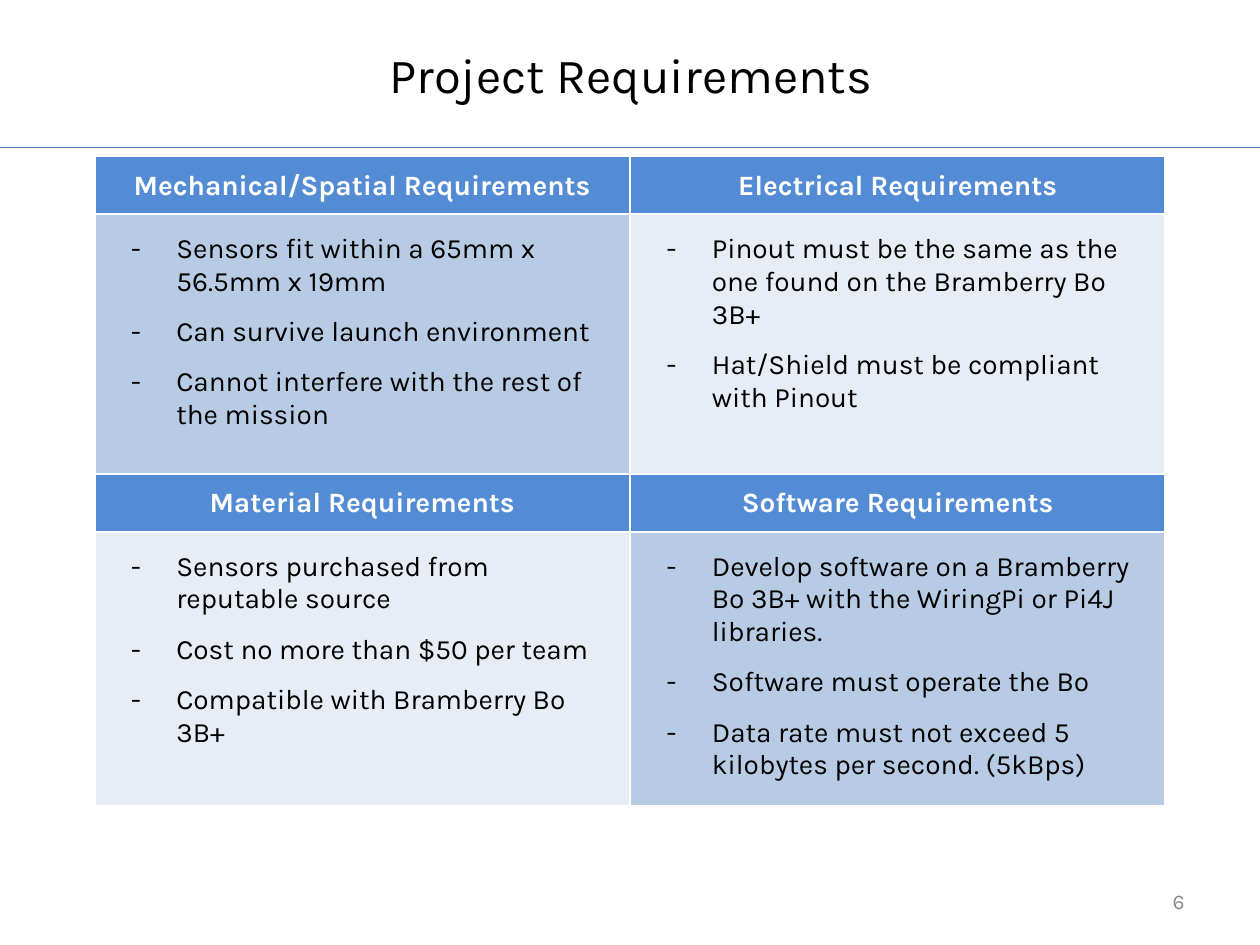
from lxml.etree import SubElement
from pptx import Presentation
from pptx.dml.color import RGBColor
from pptx.enum.shapes import MSO_CONNECTOR
from pptx.enum.text import MSO_ANCHOR, PP_ALIGN
from pptx.oxml import parse_xml
from pptx.oxml.ns import nsdecls, qn
from pptx.util import Inches, Pt


def rgb(color):
    return RGBColor.from_string(color)


def write(frame, text, size=16, color="000000", bold=False, align=PP_ALIGN.LEFT, bullet=None):
    """Fill a text frame with one paragraph per line of text."""
    frame.word_wrap = True
    for number, line in enumerate(text.split("\n")):
        paragraph = frame.paragraphs[0] if number == 0 else frame.add_paragraph()
        if bullet:
            properties = paragraph._p.get_or_add_pPr()
            properties.set("marL", str(Inches(0.5)))
            properties.set("indent", str(Inches(-0.36)))
            bullet_color = SubElement(properties, qn("a:buClr"))
            SubElement(bullet_color, qn("a:srgbClr"), val=color)
            SubElement(properties, qn("a:buFont"), typeface="Karla")
            SubElement(properties, qn("a:buChar"), char=bullet)
        paragraph.alignment = align
        if number:
            paragraph.space_before = Pt(10)
        run = paragraph.add_run()
        run.text = line
        run.font.name = "Karla"
        run.font.size = Pt(size)
        run.font.bold = bold
        run.font.color.rgb = rgb(color)


HEADER, MID_BLUE, PALE = "538CD5", "B7CCE4", "E8ECF4"
SECTIONS = [
    [
        ("Mechanical/Spatial Requirements", MID_BLUE,
         "Sensors fit within a 65mm x 56.5mm x 19mm\n"
         "Can survive launch environment\n"
         "Cannot interfere with the rest of the mission"),
        ("Electrical Requirements", PALE,
         "Pinout must be the same as the one found on the Bramberry Bo 3B+\n"
         "Hat/Shield must be compliant with Pinout"),
    ],
    [
        ("Material Requirements", PALE,
         "Sensors purchased from reputable source\n"
         "Cost no more than $50 per team\n"
         "Compatible with Bramberry Bo 3B+"),
        ("Software Requirements", MID_BLUE,
         "Develop software on a Bramberry Bo 3B+ with the WiringPi or Pi4J libraries.\n"
         "Software must operate the Bo\n"
         "Data rate must not exceed 5 kilobytes per second. (5kBps)"),
    ],
]
COLUMN_WIDTH = 4.25
ROW_HEIGHTS = [0.46, 2.06, 0.46, 2.1]

deck = Presentation()
deck.slide_width, deck.slide_height = Inches(10), Inches(7.5)
slide = deck.slides.add_slide(deck.slide_layouts[6])

rule = slide.shapes.add_connector(
    MSO_CONNECTOR.STRAIGHT, 0, Inches(1.17), deck.slide_width, Inches(1.17))
rule.line.color.rgb = rgb("4A7DBA")
rule.line.width = Pt(0.75)
SubElement(rule._element.spPr, qn("a:effectLst"))

title = slide.shapes.add_textbox(Inches(1.42), Inches(0.07), Inches(7.17), Inches(1.04)).text_frame
title.vertical_anchor = MSO_ANCHOR.MIDDLE
write(title, "Project Requirements", size=28, align=PP_ALIGN.CENTER)

requirements = slide.shapes.add_table(
    4, 2, Inches(0.75), Inches(1.24), Inches(2 * COLUMN_WIDTH), Inches(sum(ROW_HEIGHTS))).table
for column in requirements.columns:
    column.width = Inches(COLUMN_WIDTH)
for row, height in zip(requirements.rows, ROW_HEIGHTS):
    row.height = Inches(height)

for band, sections in enumerate(SECTIONS):
    for column, (heading, tint, items) in enumerate(sections):
        head = requirements.cell(2 * band, column)
        body = requirements.cell(2 * band + 1, column)
        head.vertical_anchor = MSO_ANCHOR.MIDDLE
        head.margin_left = head.margin_right = head.margin_top = Inches(0.01)
        head.margin_bottom = 0
        body.margin_left = body.margin_right = Inches(0.15)
        body.margin_top = body.margin_bottom = Inches(0.15)
        write(head.text_frame, heading, color="FFFFFF", bold=True, align=PP_ALIGN.CENTER)
        write(body.text_frame, items, bullet="-")
        for cell, color in ((head, HEADER), (body, tint)):
            cell.fill.solid()
            cell.fill.fore_color.rgb = rgb(color)
            for position, side in enumerate("LRTB"):
                cell._tc.tcPr.insert(position, parse_xml(
                    f'<a:ln{side} {nsdecls("a")} w="{Pt(1.5)}"><a:solidFill>'
                    f'<a:srgbClr val="FFFFFF"/></a:solidFill></a:ln{side}>'))

page_number = slide.shapes.add_textbox(
    Inches(7.17), Inches(6.95), Inches(2.33), Inches(0.4)).text_frame
page_number.vertical_anchor = MSO_ANCHOR.MIDDLE
write(page_number, "6", size=12, color="888888", align=PP_ALIGN.RIGHT)

deck.save("out.pptx")
